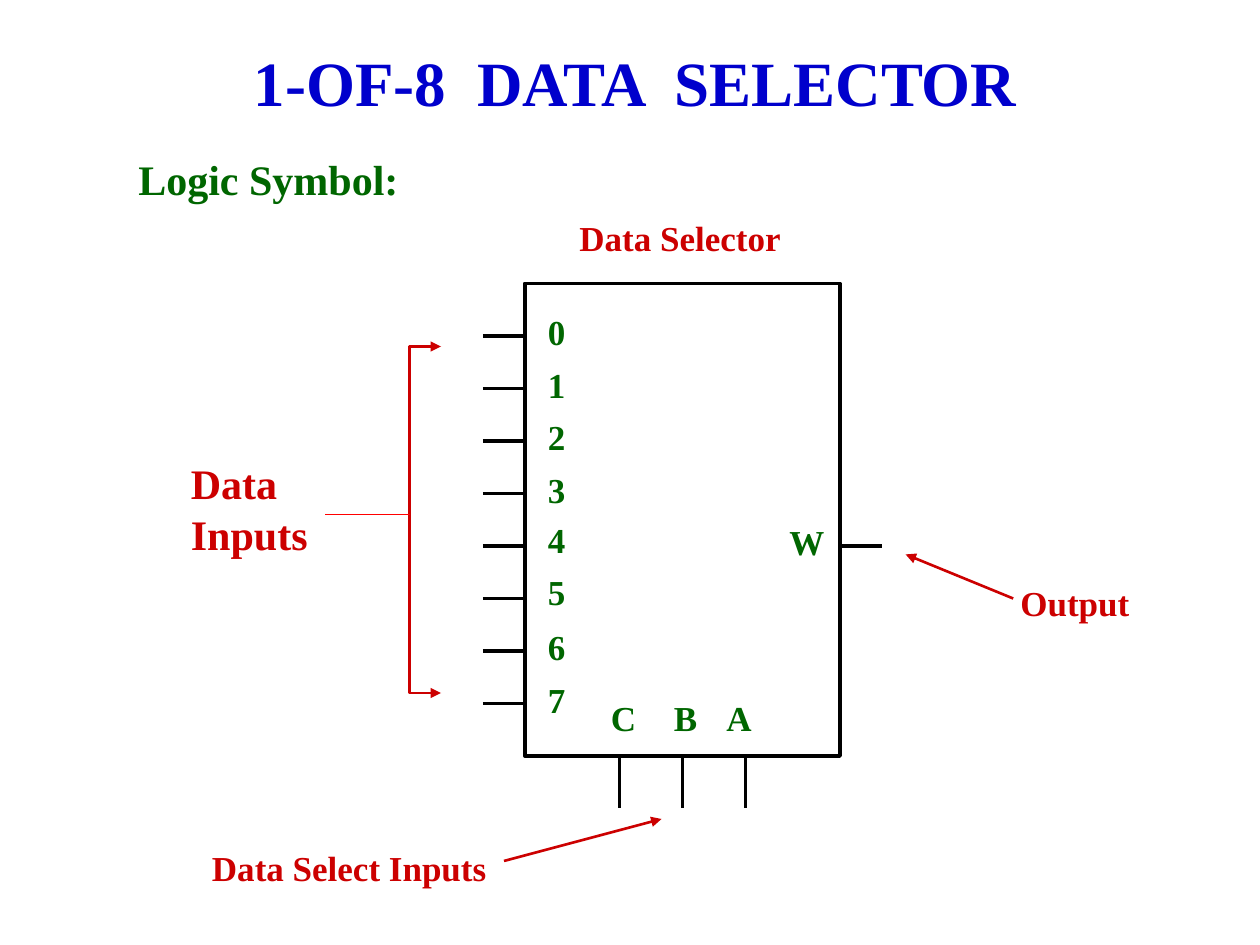
from lxml import etree
from pptx import Presentation
from pptx.dml.color import RGBColor
from pptx.enum import shapes as es, text as et
from pptx.oxml import ns
from pptx.util import Pt

INK = {"title": "0000CC", "green": "006600", "red": "CC0000",
       "bright": "FF0000", "black": "000000"}
FACE = "Times New Roman"


def color(name):
    return RGBColor.from_string(INK[name])


def label(parts, words, box, ink, size=20, wrap=True, align=et.PP_ALIGN.LEFT):
    frame = parts.add_textbox(*map(Pt, box)).text_frame
    frame.word_wrap = wrap
    frame.auto_size = et.MSO_AUTO_SIZE.SHAPE_TO_FIT_TEXT
    para = frame.paragraphs[0]
    para.alignment = align
    run = para.add_run()
    run.text = words
    style = {"name": FACE, "size": Pt(size), "bold": True}
    for key, value in style.items():
        setattr(run.font, key, value)
    run.font.color.rgb = color(ink)


def stroke(shape, ink, width, ends=()):
    shape.line.color.rgb = color(ink)
    shape.line.width = Pt(width)
    # headEnd must come before tailEnd
    for end in ends:
        etree.SubElement(shape.line._get_or_add_ln(), ns.qn(f"a:{end}"),
                         type="triangle")


def wire(parts, start, stop, ink="black", width=2.25, ends=()):
    line = parts.add_connector(es.MSO_CONNECTOR.STRAIGHT,
                               *map(Pt, (*start, *stop)))
    stroke(line, ink, width, ends)
    etree.SubElement(line._element.spPr, ns.qn("a:effectLst"))


def heading(parts, x, y):
    label(parts, "1-OF-8  DATA  SELECTOR", (x + 62, y, 458, 50.4), "title",
          36, False, et.PP_ALIGN.CENTER)
    label(parts, "Logic Symbol:", (x, y + 62.6, 163, 36), "green", 24, False)


def chip(parts, x, y, w, h):
    label(parts, "Data Selector", (x + 24, y - 42, 138, 31.5), "red")
    group = parts.add_group_shape().shapes
    body = group.add_shape(es.MSO_SHAPE.RECTANGLE, *map(Pt, (x, y, w, h)))
    body.shadow.inherit = False
    body.fill.background()
    stroke(body, "black", 2.25)

    # Data inputs on the left
    shift = {4: -1, 5: -1.4}
    for i in range(8):
        row = y + 30 * (i + 1)
        wire(group, (x - 24, row), (x, row))
        top = row - 18 + shift.get(i, 0)
        label(group, str(i), (x + 6, top, 30, 31.5), "green")

    # Select inputs below
    for i, (name, left) in enumerate((("C", 42), ("B", 78), ("A", 108))):
        col = x + 54 + 36 * i
        wire(group, (col, y + h), (col, y + h + 30))
        label(group, name, (x + left, y + h - 37.5, 30, 31.5), "green")

    # Output on the right
    wire(group, (x + w, y + 150), (x + w + 24, y + 150))
    label(group, "W", (x + w - 36, y + 132, 30, 31.5), "green")


def inputs(parts, x, y, w, h):
    label(parts, "Data Inputs", (x, y + 60, 84, 65), "red", 24)
    left, right, base = x + w - 18, x + w, y + h
    path = parts.build_freeform(Pt(right), Pt(y))
    path.add_line_segments([(Pt(a), Pt(b)) for a, b in
                            ((left, y), (left, base), (right, base))],
                           close=False)
    fork = path.convert_to_shape()
    fork.shadow.inherit = False
    fork.fill.background()
    stroke(fork, "red", 1.5, ("headEnd", "tailEnd"))
    wire(parts, (x + 84, y + 96), (left, y + 96), "bright", 1)


def callout(parts, words, box, start, stop):
    x, y = box[:2]
    label(parts, words, box, "red")
    wire(parts, (x + start[0], y + start[1]), (x + stop[0], y + stop[1]),
         "red", 1.5, ("tailEnd",))


def main():
    deck = Presentation()
    deck.slide_width, deck.slide_height = Pt(720), Pt(540)
    parts = deck.slides.add_slide(deck.slide_layouts[6]).shapes
    heading(parts, 72, 21.6)
    chip(parts, 300, 162, 180, 270)
    inputs(parts, 102, 198, 150, 198)
    callout(parts, "Data Select Inputs", (114, 480, 228, 31.5),
            (174, 12), (264, -12))
    callout(parts, "Output", (576, 329, 78, 31.5), (3, 13), (-58.5, -12.2))
    deck.save("out.pptx")


if __name__ == "__main__":
    main()
